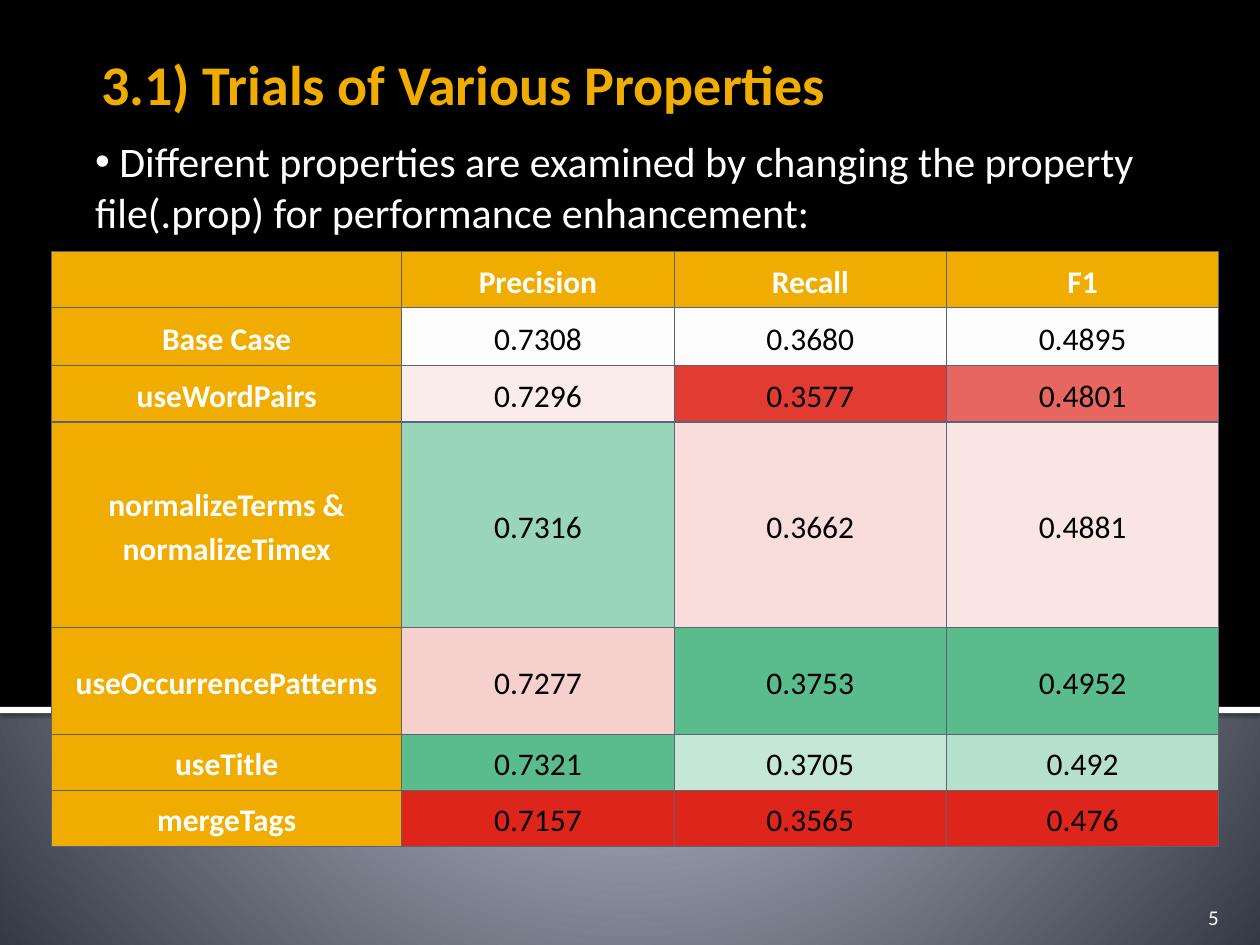
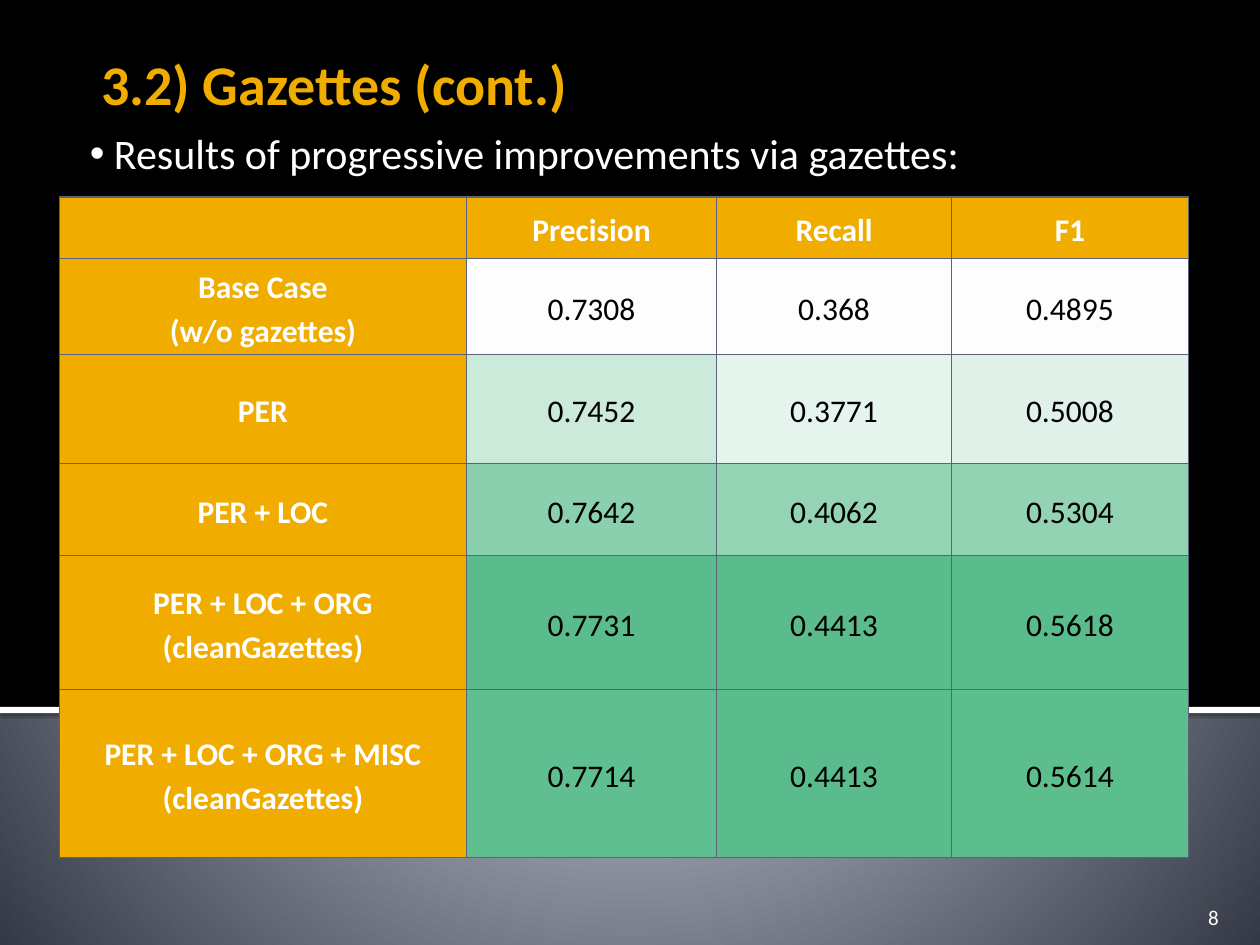
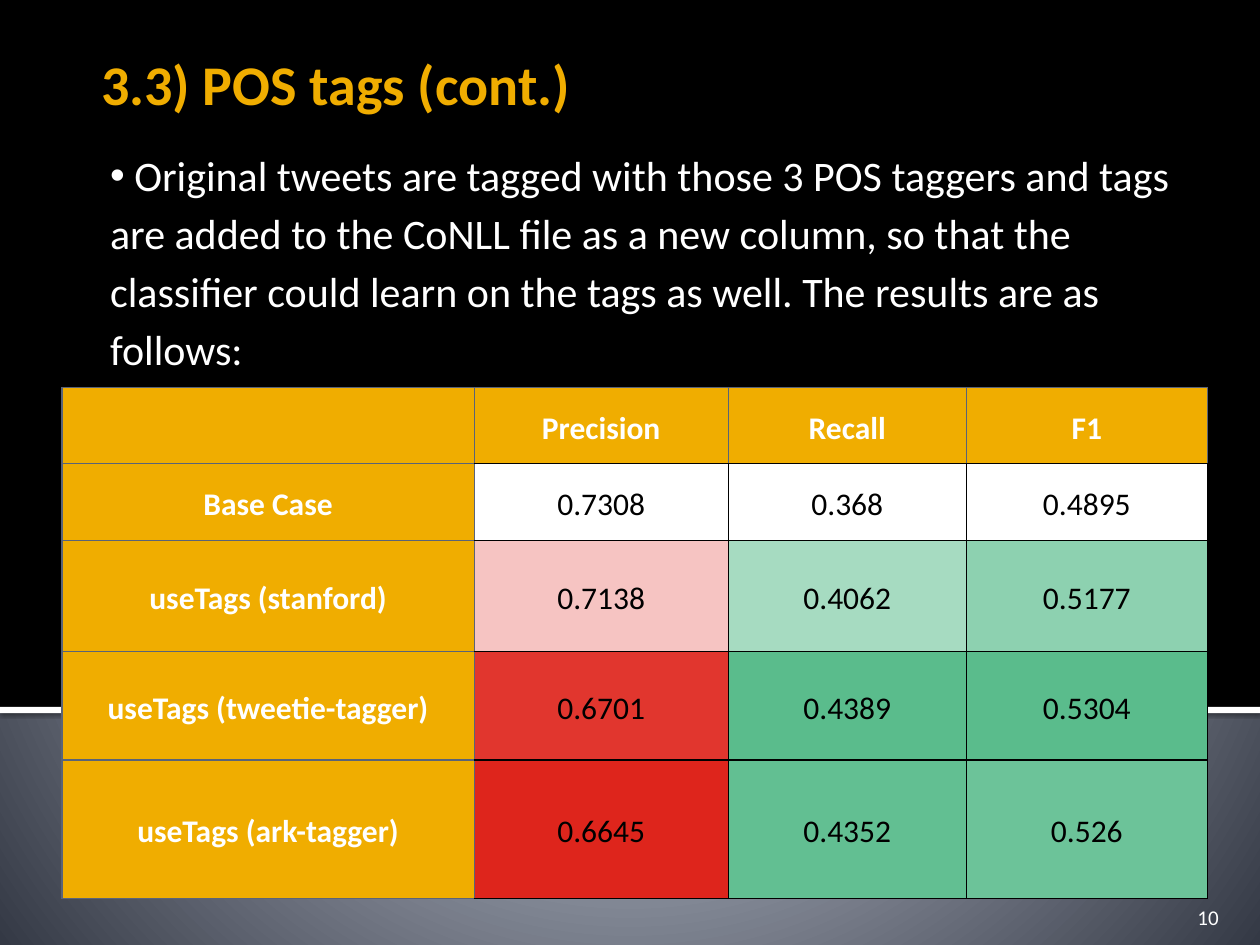
from dataclasses import dataclass

import pptx
import pptx.dml.color
import pptx.enum.shapes
import pptx.enum.text
import pptx.oxml
import pptx.oxml.ns
import pptx.util

Cm = pptx.util.Cm
Pt = pptx.util.Pt
ALIGN = pptx.enum.text.PP_ALIGN
ANCHOR = pptx.enum.text.MSO_ANCHOR
NAMESPACE = pptx.oxml.ns.nsdecls("a")


@dataclass(frozen=True)
class Theme:
    font: str = "Calibri"
    accent: str = "F0AD00"
    light: str = "FFFFFF"
    dark: str = "000000"
    grid: str = "5A6378"
    neutral: str = "FCFDFC"
    best: str = "5ABC8C"
    worst: str = "DE251C"
    backdrop: tuple = ((0, "BEC4D3"), (12, "BEC4D3"), (20, "BDC3D1"), (100, "343945"))
    title_size: int = 32
    body_size: int = 24
    table_size: int = 18
    number_size: int = 12


theme = Theme()
rgb = pptx.dml.color.RGBColor.from_string


def add_run(paragraph, text, size, color, bold=False):
    run = paragraph.add_run()
    run.text = text
    run.font.name = theme.font
    run.font.size = Pt(size)
    run.font.bold = bold
    run.font.color.rgb = rgb(color)


def set_frame(frame, margins, anchor):
    """Set wrapping, anchor and the left, top, right and bottom margins in cm."""
    frame.word_wrap = True
    frame.auto_size = pptx.enum.text.MSO_AUTO_SIZE.NONE
    frame.vertical_anchor = anchor
    (frame.margin_left, frame.margin_top,
     frame.margin_right, frame.margin_bottom) = map(Cm, margins)


# Each table row: label lines, then (score, strength), where strength runs
# from -1 (worst colour) through 0 (base colour) to 1 (best colour).
metrics = ("Precision", "Recall", "F1")
pages = [
    {
        "number": "5",
        "title": "3.1) Trials of Various Properties",
        "body": " Different properties are examined by changing the property "
                "file(.prop) for performance enhancement:",
        "body_box": (1.59, 2.74, 22.43, 2.1),
        "body_margins": (0.33, 0, 0.13, 0),
        "body_indent": 0,
        "line_spacing": 1.0,
        "table_at": (1.04, 5.07),
        "columns": (7.06, 5.49, 5.49, 5.49),
        "heights": (1.13, 1.17, 1.14, 4.15, 2.14, 1.13, 1.13),
        "base": theme.neutral,
        "body_line": theme.grid,
        "rows": [
            (["Base Case"], ("0.7308", 0), ("0.3680", 0), ("0.4895", 0)),
            (["useWordPairs"], ("0.7296", -0.08), ("0.3577", -0.9), ("0.4801", -0.7)),
            (["normalizeTerms & normalizeTimex"],
             ("0.7316", 0.61), ("0.3662", -0.15), ("0.4881", -0.11)),
            (["useOccurrencePatterns"], ("0.7277", -0.21), ("0.3753", 1), ("0.4952", 1)),
            (["useTitle"], ("0.7321", 1), ("0.3705", 0.34), ("0.492", 0.44)),
            (["mergeTags"], ("0.7157", -1), ("0.3565", -1), ("0.476", -1)),
        ],
    },
    {
        "number": "8",
        "title": "3.2) Gazettes (cont.)",
        "body": " Results of progressive improvements via gazettes:",
        "body_box": (1.48, 2.57, 22.43, 1.1),
        "body_margins": (0.33, 0, 0.13, 0),
        "body_indent": 0,
        "line_spacing": 1.0,
        "table_at": (1.2, 3.97),
        "columns": (8.2, 5.05, 4.73, 4.78),
        "heights": (1.24, 1.9, 2.19, 1.85, 2.71, 3.38),
        "base": theme.neutral,
        "body_line": theme.grid,
        "rows": [
            (["Base Case", "(w/o gazettes)"], ("0.7308", 0), ("0.368", 0), ("0.4895", 0)),
            (["PER"], ("0.7452", 0.3), ("0.3771", 0.14), ("0.5008", 0.18)),
            (["PER + LOC"], ("0.7642", 0.7), ("0.4062", 0.64), ("0.5304", 0.65)),
            (["PER + LOC + ORG", "(cleanGazettes)"],
             ("0.7731", 1), ("0.4413", 1), ("0.5618", 1)),
            (["PER + LOC + ORG + MISC", "(cleanGazettes)"],
             ("0.7714", 0.96), ("0.4413", 1), ("0.5614", 0.99)),
        ],
    },
    {
        "number": "10",
        "title": "3.3) POS tags (cont.)",
        "body": " Original tweets are tagged with those 3 POS taggers and tags are "
                "added to the CoNLL file as a new column, so that the classifier could "
                "learn on the tags as well. The results are as follows:",
        "body_box": (1.37, 2.62, 22.73, 5),
        "body_margins": (0.25, 0.25, 0.25, 0.25),
        "body_indent": 0.6,
        "line_spacing": 1.15,
        "table_at": (1.25, 7.81),
        "columns": (8.31, 5.12, 4.8, 4.86),
        "heights": (1.54, 1.55, 2.24, 2.18, 2.79),
        "base": theme.light,
        "body_line": theme.dark,
        "rows": [
            (["Base Case"], ("0.7308", 0), ("0.368", 0), ("0.4895", 0)),
            (["useTags (stanford)"], ("0.7138", -0.27), ("0.4062", 0.54), ("0.5177", 0.69)),
            (["useTags (tweetie-tagger)"], ("0.6701", -0.92), ("0.4389", 1), ("0.5304", 1)),
            (["useTags (ark-tagger)"], ("0.6645", -1), ("0.4352", 0.95), ("0.526", 0.89)),
        ],
    },
]

presentation = pptx.Presentation()
presentation.slide_width = Cm(25.4)
presentation.slide_height = Cm(19.05)
master = presentation.slide_master

# Radial backdrop shared by all slides
master.background.fill.solid()
background = master.element.xpath("./p:cSld/p:bg/p:bgPr")[0]
stops = "".join(
    f'<a:gs pos="{position * 1000}"><a:srgbClr val="{color}"/></a:gs>'
    for position, color in theme.backdrop
)
background.replace(background[0], pptx.oxml.parse_xml(
    f'<a:gradFill {NAMESPACE} rotWithShape="1"><a:gsLst>{stops}</a:gsLst>'
    '<a:path path="circle"><a:fillToRect l="50000" t="50000" r="50000" b="50000"/>'
    '</a:path></a:gradFill>'
))

for page in pages:
    slide = presentation.slides.add_slide(presentation.slide_layouts[1])

    title = slide.shapes.title
    title.left, title.top, title.width, title.height = map(Cm, (1.79, 0.99, 21.59, 4.09))
    set_frame(title.text_frame, (0.25, 0, 0.13, 0), ANCHOR.TOP)
    paragraph = title.text_frame.paragraphs[0]
    paragraph.alignment = ALIGN.LEFT
    add_run(paragraph, page["title"], theme.title_size, theme.accent, bold=True)

    body = slide.placeholders[1]
    body.left, body.top, body.width, body.height = map(Cm, page["body_box"])
    set_frame(body.text_frame, page["body_margins"], ANCHOR.TOP)
    paragraph = body.text_frame.paragraphs[0]
    paragraph.space_before = Pt(0)
    paragraph.line_spacing = page["line_spacing"]
    add_run(paragraph, page["body"], theme.body_size, theme.light)
    properties = paragraph._p.get_or_add_pPr()
    properties.set("marL", str(Cm(page["body_indent"])))
    properties.set("indent", "0")
    for bullet in (
        f'<a:buClr {NAMESPACE}><a:srgbClr val="{theme.light}"/></a:buClr>',
        f'<a:buFont {NAMESPACE} typeface="Arial"/>',
        f'<a:buChar {NAMESPACE} char="•"/>',
    ):
        properties.append(pptx.oxml.parse_xml(bullet))

    number = slide.shapes.add_textbox(Cm(22.79), Cm(17.99), Cm(2.03), Cm(0.76))
    set_frame(number.text_frame, (0.25, 0.13, 0.25, 0), ANCHOR.BOTTOM)
    paragraph = number.text_frame.paragraphs[0]
    paragraph.alignment = ALIGN.RIGHT
    add_run(paragraph, page["number"], theme.number_size, theme.light)

    left, top = page["table_at"]
    table = slide.shapes.add_table(
        len(page["heights"]), len(page["columns"]), Cm(left), Cm(top),
        Cm(sum(page["columns"])), Cm(sum(page["heights"])),
    ).table
    table.horz_banding = False
    for column, width in zip(table.columns, page["columns"]):
        column.width = Cm(width)
    for row, height in zip(table.rows, page["heights"]):
        row.height = Cm(height)

    header = ([], *((metric, 0) for metric in metrics))
    for row_index, (label, *scores) in enumerate([header, *page["rows"]]):
        contents = [(label, 0)] + [([text], strength) for text, strength in scores]
        for column_index, (lines, strength) in enumerate(contents):
            cell = table.cell(row_index, column_index)
            is_heading = row_index == 0 or column_index == 0
            cell.vertical_anchor = ANCHOR.MIDDLE
            cell.margin_left = cell.margin_right = Cm(0.08)
            cell.margin_top = cell.margin_bottom = Cm(0.08)

            cell.fill.solid()
            if is_heading:
                cell.fill.fore_color.rgb = rgb(theme.accent)
            else:
                end = rgb(theme.best if strength > 0 else theme.worst)
                cell.fill.fore_color.rgb = pptx.dml.color.RGBColor(*(
                    round(start + (stop - start) * abs(strength))
                    for start, stop in zip(rgb(page["base"]), end)
                ))

            for line_index, text in enumerate(lines):
                frame = cell.text_frame
                paragraph = frame.add_paragraph() if line_index else frame.paragraphs[0]
                paragraph.alignment = ALIGN.CENTER
                paragraph.line_spacing = 1.15
                add_run(paragraph, text, theme.table_size,
                        theme.light if is_heading else theme.dark, bold=is_heading)

            body_line = page["body_line"]
            side = theme.grid if is_heading else body_line
            borders = {
                "lnL": theme.grid if column_index == 1 else side,
                "lnR": side,
                "lnT": side,
                "lnB": theme.grid if column_index == 0 else body_line,
            }
            cell_properties = cell._tc.get_or_add_tcPr()
            for position, (tag, color) in enumerate(borders.items()):
                cell_properties.insert(position, pptx.oxml.parse_xml(
                    f'<a:{tag} {NAMESPACE} w="{Pt(0.75)}"><a:solidFill>'
                    f'<a:srgbClr val="{color}"/></a:solidFill></a:{tag}>'
                ))

# Bands are drawn on the last slide and moved to the master, behind everything
for index, (top, height, color) in enumerate(
    [(0, 14.27, theme.dark), (14.25, 0.13, theme.light)]
):
    band = slide.shapes.add_shape(
        pptx.enum.shapes.MSO_SHAPE.RECTANGLE, Cm(0), Cm(top), Cm(25.4), Cm(height))
    band.fill.solid()
    band.fill.fore_color.rgb = rgb(color)
    band.line.fill.background()
    band.shadow.inherit = False
    if color == theme.light:
        effects = band.element.xpath("./p:spPr/a:effectLst")[0]
        effects.append(pptx.oxml.parse_xml(
            f'<a:outerShdw {NAMESPACE} blurRad="{Pt(2.5)}" dist="{Pt(0.8)}" dir="5400000" '
            f'rotWithShape="0"><a:srgbClr val="{theme.dark}"><a:alpha val="60000"/>'
            '</a:srgbClr></a:outerShdw>'
        ))
    band.element.xpath("./p:nvSpPr/p:cNvPr")[0].set("id", str(20 + index))
    master.shapes.element.insert(2 + index, band.element)

presentation.save("out.pptx")
